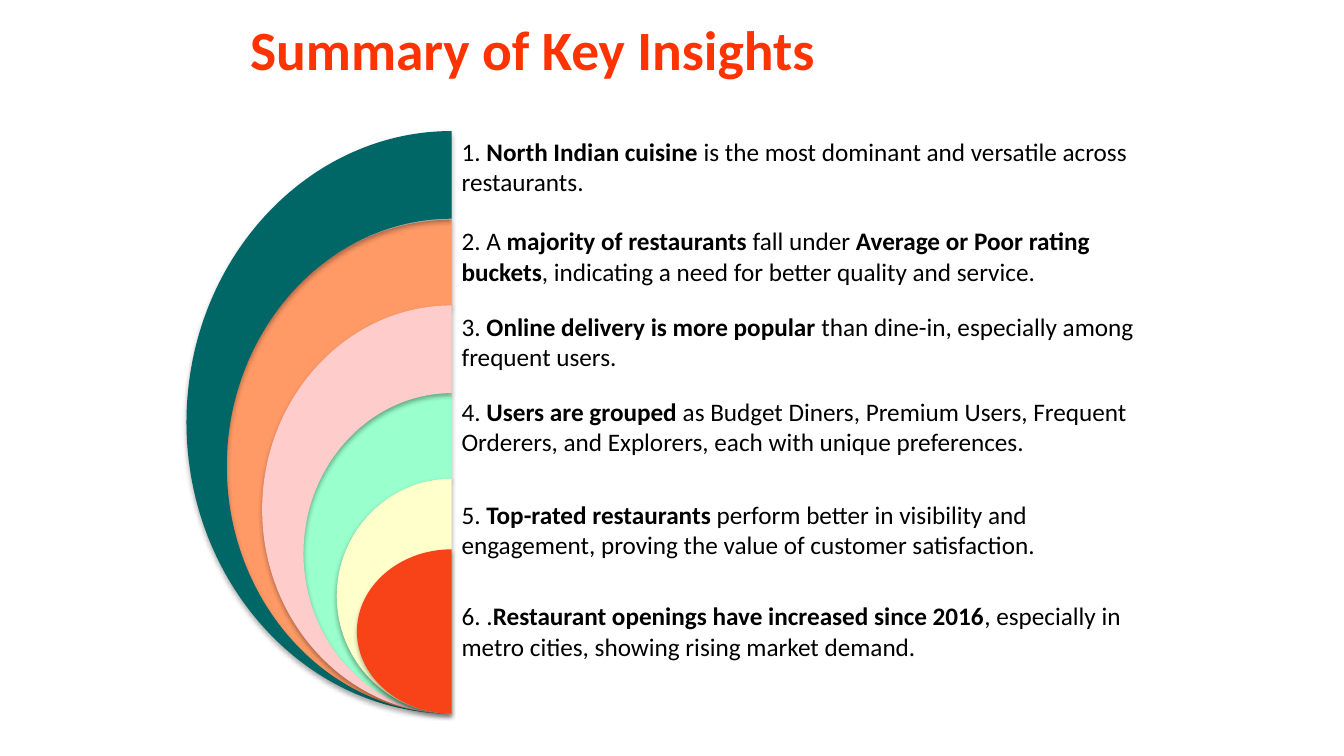
from lxml import etree
from pptx import Presentation
from pptx.dml.color import RGBColor
from pptx.enum.text import MSO_ANCHOR, MSO_AUTO_SIZE, PP_ALIGN
from pptx.oxml.ns import qn
from pptx.util import Inches, Pt

FONT = "Calibri"
TITLE_RED = RGBColor(0xFF, 0x33, 0x00)
BLACK = RGBColor(0x00, 0x00, 0x00)
TEAL = RGBColor(0x00, 0x66, 0x66)
ORANGE = RGBColor(0xFF, 0x99, 0x66)
PINK = RGBColor(0xFF, 0xCC, 0xCC)
MINT = RGBColor(0x99, 0xFF, 0xCC)
CREAM = RGBColor(0xFF, 0xFF, 0xCC)
RED = RGBColor(0xF8, 0x43, 0x18)

AXIS, BASE = 4.48, 7.08  # the point where all the arcs meet
ROUNDNESS = 0.55  # handle length of a quarter ellipse

# Back to front: colour, (left, top) of the outer arc, then of the inner arc
BANDS = [
    (ORANGE, (2.22, 2.18), (2.62, 3.05)),
    (MINT, (2.97, 3.89), (3.38, 4.76)),
    (TEAL, (1.85, 1.3), (2.25, 2.17)),
    (PINK, (2.6, 3.03), (3.01, 3.9)),
    (CREAM, (3.34, 4.75), None),
    (RED, (3.54, 5.45), None),
]

# Top, width, text with bold parts between asterisks
INSIGHTS = [
    (1.3, 7.29, "1. *North Indian cuisine* is the most dominant and versatile "
                "across restaurants."),
    (2.19, 6.92, "2. A *majority of restaurants* fall under *Average or Poor "
                 "rating buckets*, indicating a need for better quality and "
                 "service."),
    (3.04, 6.92, "3. *Online delivery is more popular* than dine-in, "
                 "especially among frequent users."),
    (3.88, 7.13, "4. *Users are grouped *as Budget Diners, Premium Users, "
                 "Frequent Orderers, and Explorers, each with unique "
                 "preferences."),
    (4.9, 6.63, "5. *Top-rated restaurants* perform better in visibility and "
                "engagement, proving the value of customer satisfaction."),
    (5.91, 6.92, "6. .*Restaurant openings have increased since 2016*, "
                 "especially in metro cities, showing rising market demand."),
]


def style_run(run, size, color, bold):
    font = run.font
    font.name, font.size, font.bold = FONT, Pt(size), bold
    font.color.rgb = color


def add_title(slide, left, top, width, height):
    title = slide.shapes.title
    title.left, title.top = Inches(left), Inches(top)
    title.width, title.height = Inches(width), Inches(height)
    frame = title.text_frame
    frame.text = "Summary of Key Insights"
    frame.vertical_anchor = MSO_ANCHOR.MIDDLE
    heading = frame.paragraphs[0]
    heading.alignment = PP_ALIGN.LEFT
    heading.line_spacing = 0.9
    style_run(heading.runs[0], 39.6, TITLE_RED, True)


def round_sides(shape):
    """Turn each side into a quarter ellipse, level and upright starts in turn."""
    sides = list(shape.element.iter(qn("a:lnTo")))
    x, y = [int(shape.element.find(".//" + qn("a:moveTo"))[0].get(axis))
            for axis in "xy"]
    for index, side in enumerate(sides):
        end_x, end_y = int(side[0].get("x")), int(side[0].get("y"))
        reach_x, reach_y = ROUNDNESS * (end_x - x), ROUNDNESS * (end_y - y)
        if index % 2 == 0:
            handles = [(x + reach_x, y), (end_x, end_y - reach_y)]
        else:
            handles = [(x, y + reach_y), (end_x - reach_x, end_y)]
        curve = etree.Element(qn("a:cubicBezTo"))
        for point_x, point_y in handles + [(end_x, end_y)]:
            etree.SubElement(curve, qn("a:pt"), x=str(round(point_x)),
                             y=str(round(point_y)))
        side.getparent().replace(side, curve)
        x, y = end_x, end_y


def add_soft_shadow(shape):
    shape.shadow.inherit = False
    effects = shape.element.spPr.find(qn("a:effectLst"))
    shadow = etree.SubElement(effects, qn("a:outerShdw"), blurRad=str(Pt(3.5)),
                              dist=str(Pt(2.2)), dir="5400000", rotWithShape="0")
    black = etree.SubElement(shadow, qn("a:srgbClr"), val="000000")
    etree.SubElement(black, qn("a:alpha"), val="32000")


def add_band(group, color, outer, inner):
    left, top = outer
    corners = [(AXIS, top), (left, (top + BASE) / 2), (AXIS, BASE)]
    if inner:
        inner_left, inner_top = inner
        corners += [(inner_left, (inner_top + BASE) / 2), (AXIS, inner_top)]
    points = [(Inches(x), Inches(y)) for x, y in corners]
    builder = group.shapes.build_freeform(*points[0])
    builder.add_line_segments(points[1:], close=True)
    band = builder.convert_to_shape()
    round_sides(band)
    band.fill.solid()
    band.fill.fore_color.rgb = color
    band.line.fill.background()
    add_soft_shadow(band)


def add_insight(slide, left, top, width, text):
    box = slide.shapes.add_textbox(Inches(left), Inches(top),
                                   Inches(width), Inches(0.71))
    frame = box.text_frame
    frame.word_wrap = True
    frame.auto_size = MSO_AUTO_SIZE.SHAPE_TO_FIT_TEXT
    for index, part in enumerate(text.split("*")):
        run = frame.paragraphs[0].add_run()
        run.text = part
        style_run(run, 18, BLACK, index % 2 == 1)


def main():
    prs = Presentation()
    prs.slide_width, prs.slide_height = Inches(13.33), Inches(7.5)
    slide = prs.slides.add_slide(prs.slide_layouts[5])
    add_title(slide, 2.38, 0.15, 9.47, 0.75)
    rainbow = slide.shapes.add_group_shape()
    for color, outer, inner in BANDS:
        add_band(rainbow, color, outer, inner)
    for top, width, text in INSIGHTS:
        add_insight(slide, AXIS, top, width, text)
    prs.save("out.pptx")


if __name__ == "__main__":
    main()
